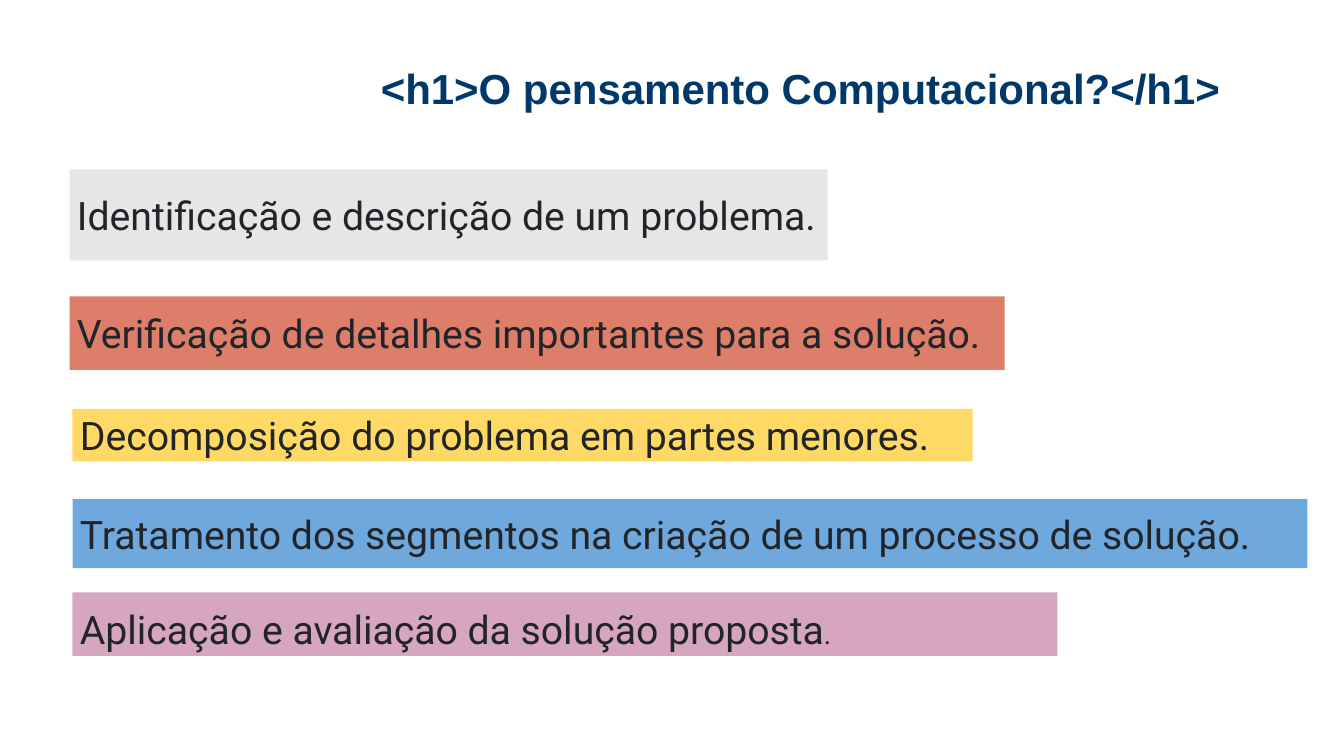
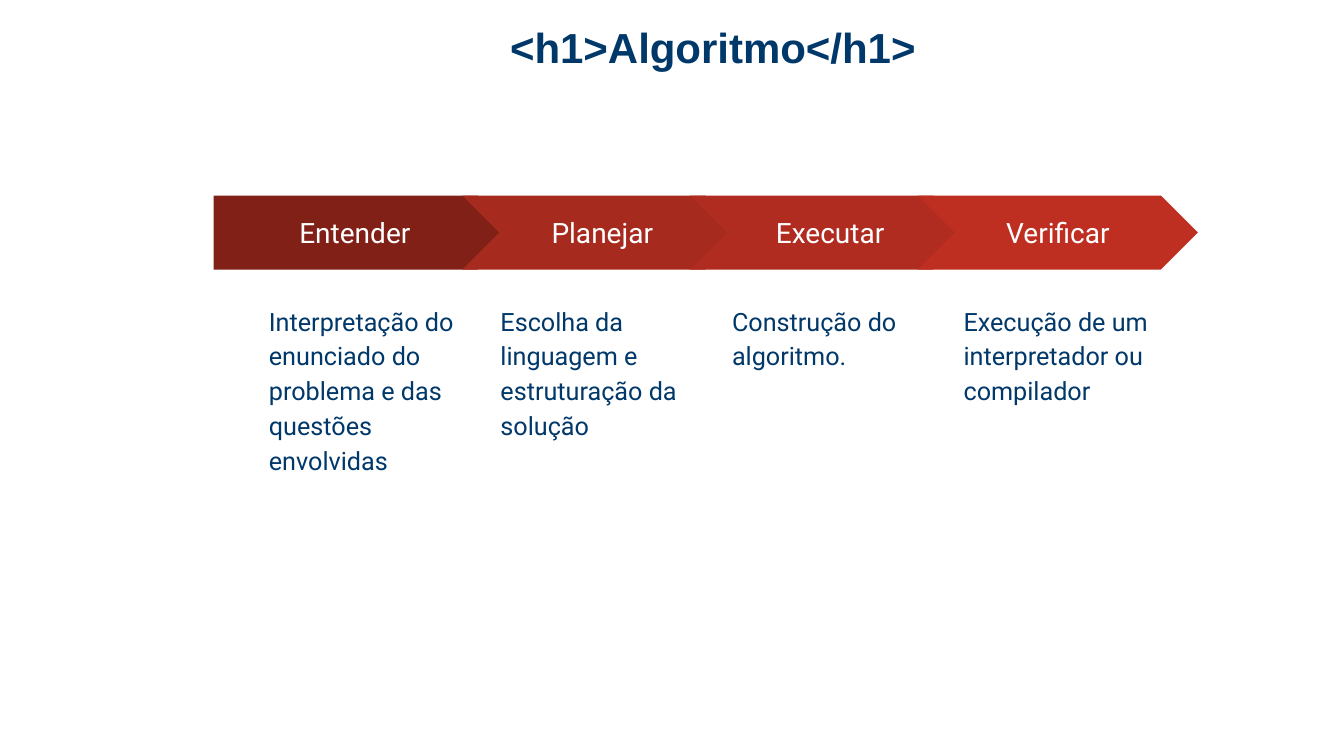
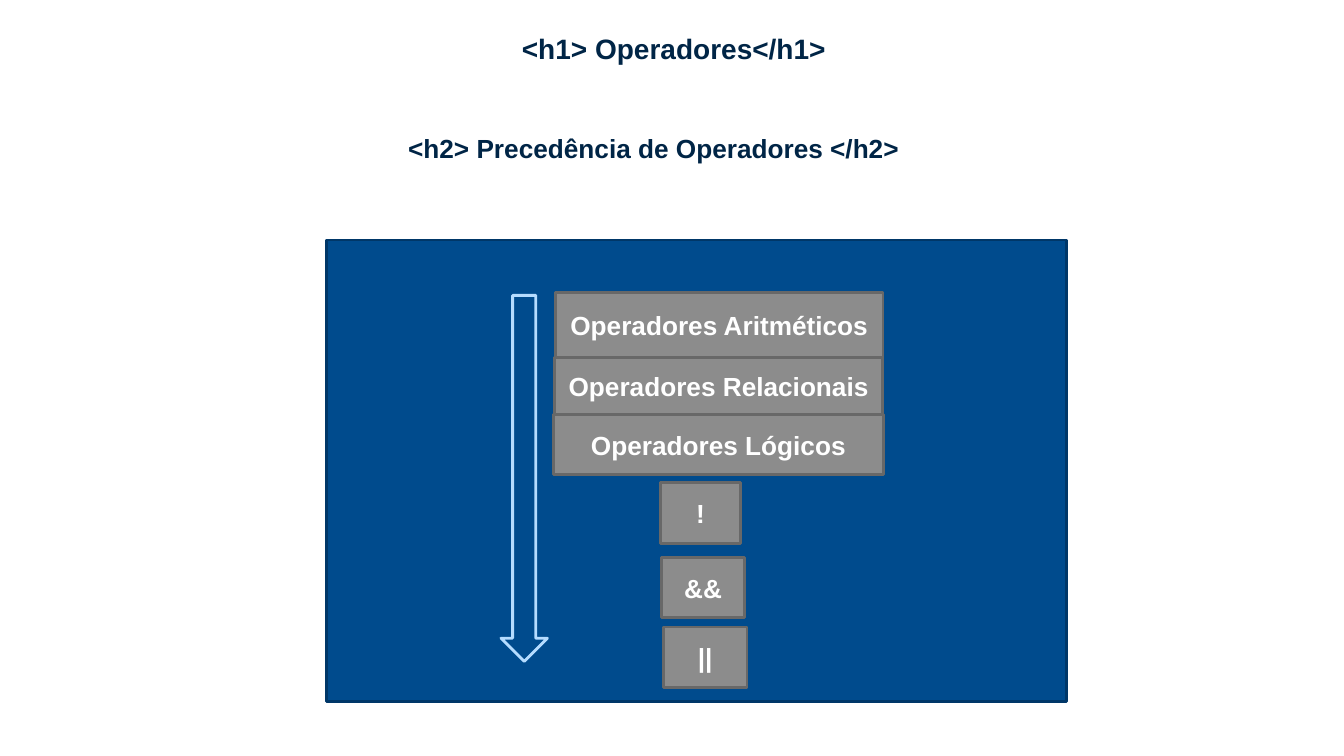
from dataclasses import dataclass
from pptx import Presentation
from pptx.dml.color import RGBColor
from pptx.enum.shapes import MSO_SHAPE
from pptx.enum.text import MSO_ANCHOR, PP_ALIGN
from pptx.util import Pt


@dataclass(frozen=True)
class TextStyle:
    """Font and paragraph look of one kind of text."""
    font: str
    size: float
    color: str
    bold: bool = False
    align: PP_ALIGN = PP_ALIGN.CENTER
    spacing: float = 1.0
    insets: tuple = (7.2, 3.6)


@dataclass(frozen=True)
class Theme:
    """Colours and type styles shared by the slides."""
    title = TextStyle("Arial", 30, "00386A", True)
    heading = TextStyle("Arial", 20, "002546", True, insets=(9.4, 9.4))
    subheading = TextStyle("Arial", 18.7, "002546", True, insets=(9.4, 9.4))
    bar = TextStyle("Roboto", 28, "212529", align=PP_ALIGN.LEFT, insets=(5.3, 2.6))
    step = TextStyle("Roboto", 20, "FFFFFF", insets=(7.2, 7.2))
    caption = TextStyle("Roboto", 18, "00386A", align=PP_ALIGN.LEFT,
                        spacing=1.15, insets=(7.2, 7.2))
    operator = TextStyle("Arial", 18.7, "FFFFFF", True)
    small_size = 20
    line_width = 2
    panel_fill, panel_line = "004B8D", "003768"
    operator_fill, operator_line = "8C8C8C", "686868"
    arrow_line = "B5DCFF"


THEME = Theme()


def set_attributes(target, values):
    """Set each named value on the target."""
    for name, value in values.items():
        setattr(target, name, value)


def write_text(shape, text, style, anchor=MSO_ANCHOR.MIDDLE):
    """Write one styled paragraph in the shape and return it."""
    across, down = (Pt(inset) for inset in style.insets)
    set_attributes(shape.text_frame, {
        "word_wrap": True, "vertical_anchor": anchor,
        "margin_left": across, "margin_right": across,
        "margin_top": down, "margin_bottom": down})
    paragraph = shape.text_frame.paragraphs[0]
    set_attributes(paragraph, {"alignment": style.align, "line_spacing": style.spacing})
    run = paragraph.add_run()
    run.text = text
    set_attributes(run.font, {"name": style.font, "size": Pt(style.size), "bold": style.bold})
    run.font.color.rgb = RGBColor.from_string(style.color)
    return paragraph


def add_text(slide, box, text, style):
    """Add a top-anchored text box."""
    shape = slide.shapes.add_textbox(*map(Pt, box))
    write_text(shape, text, style, MSO_ANCHOR.TOP)


def add_block(slide, box, fill, line=None, preset=MSO_SHAPE.RECTANGLE):
    """Add a filled preset shape, outlined if a line colour is given."""
    shape = slide.shapes.add_shape(preset, *map(Pt, box))
    shape.shadow.inherit = False
    shape.fill.solid()
    shape.fill.fore_color.rgb = RGBColor.from_string(fill)
    if line:
        shape.line.color.rgb = RGBColor.from_string(line)
        shape.line.width = Pt(THEME.line_width)
    else:
        shape.line.fill.background()
    return shape


def add_title(slide, left, top):
    """Return a function that writes the title at the given corner."""
    return lambda text: add_text(slide, (left, top, 749.5, 44), text, THEME.title)


def add_stage_bars(slide, left, top, bars):
    """Stack coloured bars, each offset from the given corner."""
    for shift, offset, width, height, fill, text in bars:
        shape = add_block(slide, (left + shift, top + offset, width, height), fill)
        paragraph = write_text(shape, text, THEME.bar)
    shape.text_frame.vertical_anchor = MSO_ANCHOR.BOTTOM
    stop = paragraph.add_run()
    stop.text = "."
    set_attributes(stop.font, {"name": THEME.bar.font, "size": Pt(THEME.small_size)})
    stop.font.color.rgb = RGBColor.from_string(THEME.bar.color)


def add_process(slide, left, top, steps):
    """Draw a chain of arrows with a caption under each."""
    arrow_width, arrow_height, arrow_pitch, lead = 200, 52.8, 162.7, 15
    caption_pitch, caption_shift, caption_drop = 165.4, 32.4, 68.4
    for index, (fill, name, caption) in enumerate(steps):
        extra = 0 if index else lead
        preset = MSO_SHAPE.CHEVRON if index else MSO_SHAPE.PENTAGON
        arrow_left = left + lead + index * arrow_pitch - extra
        arrow = add_block(slide, (arrow_left, top, arrow_width + extra, arrow_height),
                          fill, preset=preset)
        write_text(arrow, name, THEME.step)
        caption_left = left + caption_shift + index * caption_pitch
        add_text(slide, (caption_left, top + caption_drop, 149.8, 206), caption, THEME.caption)


def add_precedence_panel(slide, left, top, operators):
    """Draw the panel, its downward arrow and the ordered operators."""
    add_block(slide, (left, top, 528.5, 329.8), THEME.panel_fill, THEME.panel_line)
    for shift, offset, width, height, text in operators:
        shape = add_block(slide, (left + shift, top + offset, width, height),
                          THEME.operator_fill, THEME.operator_line)
        write_text(shape, text, THEME.operator)
    add_block(slide, (left + 124.6, top + 39.6, 33.1, 261.4),
              THEME.panel_fill, THEME.arrow_line, MSO_SHAPE.DOWN_ARROW)


def build_thinking(slide):
    """Build the slide on computational thinking."""
    add_stage_bars(slide, 49.7, 121, [
        (0, 0, 541.6, 65, "E7E6E6", "Identificação e descrição de um problema."),
        (0, 90.7, 668, 52.5, "DD7E6B", "Verificação de detalhes importantes para a solução."),
        (2.1, 171, 643, 37.5, "FFD966", "Decomposição do problema em partes menores."),
        (2.1, 235.4, 882, 49.5, "6FA8DC",
         "Tratamento dos segmentos na criação de um processo de solução."),
        (2.1, 302.2, 703.5, 45.3, "D5A6BD", "Aplicação e avaliação da solução proposta")])
    add_title(slide, 197.3, 41)("<h1>O pensamento Computacional?</h1>")


def build_algorithm(slide):
    """Build the slide on the steps of an algorithm."""
    add_title(slide, 134.6, 11.5)("<h1>Algoritmo</h1>")
    add_process(slide, 152.6, 139.7, [
        ("802017", "Entender",
         "Interpretação do enunciado do problema e das questões envolvidas"),
        ("A72A1E", "Planejar", "Escolha da linguagem e estruturação da solução"),
        ("B02C20", "Executar", "Construção do algoritmo."),
        ("BE2F22", "Verificar", "Execução de um interpretador ou compilador")])


def build_operators(slide):
    """Build the slide on operator precedence."""
    add_precedence_panel(slide, 233.3, 171.4, [
        (163.4, 37.4, 234, 46.8, "Operadores Aritméticos"),
        (163, 83.8, 234, 41, "Operadores Relacionais"),
        (162.2, 124.6, 235.4, 43.2, "Operadores Lógicos"),
        (238.3, 173.5, 57.6, 43.2, "!"),
        (239, 226.8, 59.8, 43.2, "&&"),
        (240.5, 276.5, 59.8, 43.2, "||")])
    add_text(slide, (124.6, 13, 713.5, 44), "<h1> Operadores</h1>", THEME.heading)
    add_text(slide, (54, 85, 825.8, 41.8), "<h2> Precedência de Operadores </h2>",
             THEME.subheading)


def main():
    """Build and save the presentation."""
    presentation = Presentation()
    set_attributes(presentation, {"slide_width": Pt(960), "slide_height": Pt(540)})
    for build in (build_thinking, build_algorithm, build_operators):
        build(presentation.slides.add_slide(presentation.slide_layouts[6]))
    presentation.save("out.pptx")


if __name__ == "__main__":
    main()
